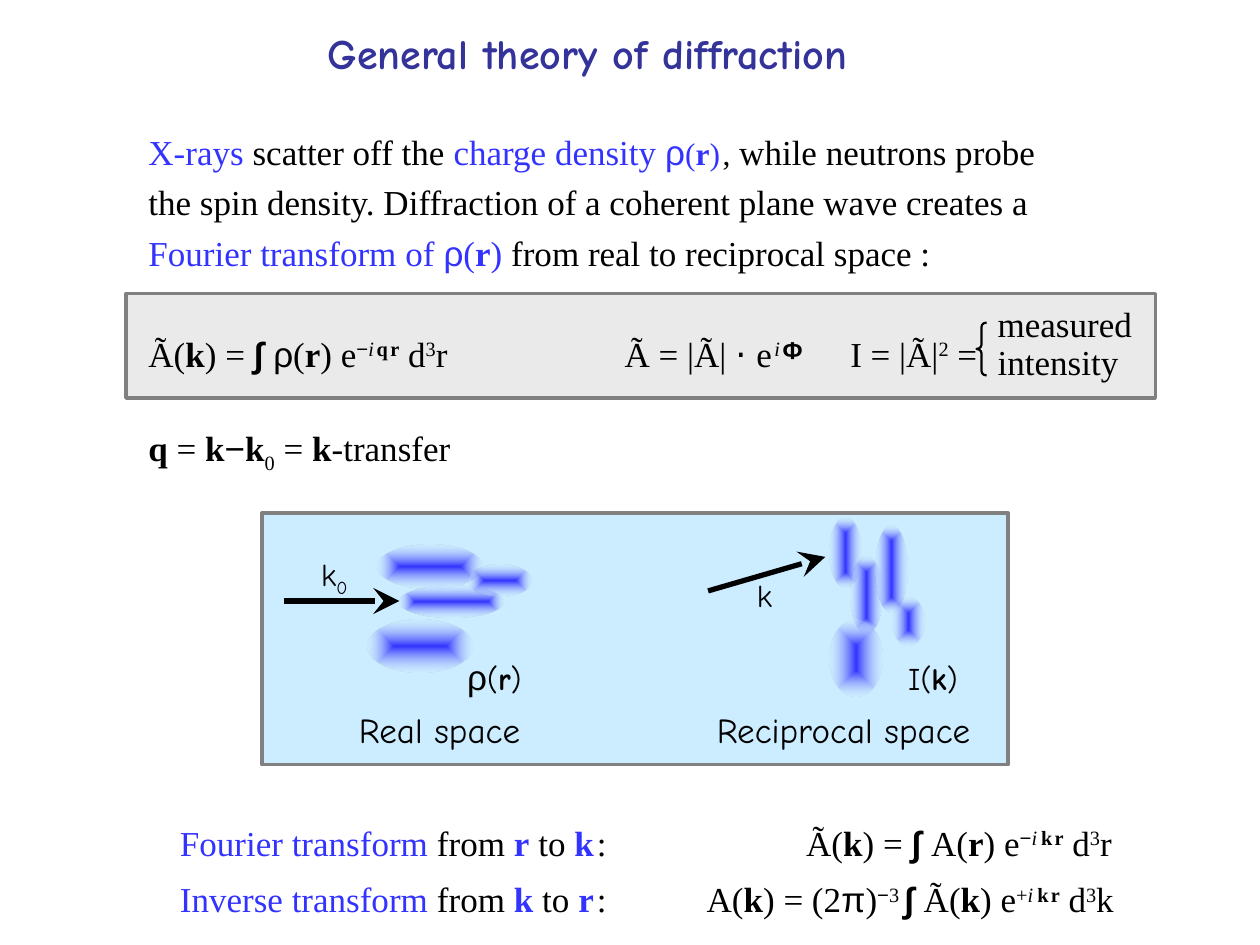
from dataclasses import dataclass

from lxml.etree import SubElement
from pptx import Presentation
from pptx.dml.color import RGBColor as Rgb
from pptx.enum.shapes import MSO_CONNECTOR as Connector
from pptx.enum.shapes import MSO_SHAPE as Shape
from pptx.enum.text import MSO_ANCHOR as Anchor
from pptx.enum.text import PP_ALIGN as Align
from pptx.oxml.ns import qn
from pptx.util import Inches, Pt


@dataclass(frozen=True)
class Theme:
    black: str = "000000"
    title: str = "333399"
    accent: str = "3333FF"
    border: str = "808080"
    formula_fill: str = "EAEAEA"
    diagram_fill: str = "CCECFF"
    serif: str = "Times New Roman"
    symbol: str = "Arial"
    casual: str = "Comic Neue"
    heading_size: int = 24
    body_size: int = 20
    label_size: int = 18
    hair_size: int = 10


THEME = Theme()


def span(text, **style):
    return text, style


def bold(text, **style):
    return span(text, bold=True, **style)


def accent(text, **style):
    return span(text, color=THEME.accent, **style)


def symbol(text, **style):
    return span(text, font=THEME.symbol, **style)


def raised(text, **style):
    return span(text, **{"base": 30, **style})


def lowered(text, **style):
    return span(text, base=-25, **style)


def exponential(sign, vector, outer_gap, inner_gap, sign_font):
    return [
        ") e", raised(sign, font=sign_font), raised("i", italic=True),
        raised(" ", size=outer_gap), raised(vector, bold=True),
        raised(" ", size=inner_gap), raised("r", bold=True), " d", raised("3"),
    ]


def write_paragraph(paragraph, pieces, line_spacing=1.0, before=0, tabs=(), **style):
    if tabs:
        stops = SubElement(paragraph._p.get_or_add_pPr(), qn("a:tabLst"))
        for position in tabs:
            SubElement(stops, qn("a:tab"), pos=str(Inches(position)), algn="l")
    paragraph.alignment = Align.LEFT
    paragraph.line_spacing = line_spacing
    paragraph.space_before = Pt(before)
    defaults = dict(font=THEME.serif, size=THEME.body_size, color=THEME.black)
    for piece in pieces:
        text, own = span(piece) if isinstance(piece, str) else piece
        look = {**defaults, **style, **own}
        run = paragraph.add_run()
        run.text = text
        run.font.name = look["font"]
        run.font.size = Pt(look["size"])
        run.font.color.rgb = Rgb.from_string(look["color"])
        run.font.bold = look.get("bold", False)
        run.font.italic = look.get("italic", False)
        if "base" in look:
            run.font._element.set("baseline", str(look["base"] * 1000))


def add_text(shapes, box, pieces, **style):
    frame = shapes.add_textbox(*map(Inches, box)).text_frame
    frame.word_wrap = True
    write_paragraph(frame.paragraphs[0], pieces, **style)
    return frame


def add_panel(shapes, box, fill):
    panel = shapes.add_shape(Shape.RECTANGLE, *map(Inches, box))
    panel.shadow.inherit = False
    panel.fill.solid()
    panel.fill.fore_color.rgb = Rgb.from_string(fill)
    panel.line.color.rgb = Rgb.from_string(THEME.border)
    panel.line.width = Pt(2)


def add_blob(shapes, box, rotation):
    blob = shapes.add_shape(Shape.OVAL, *map(Inches, box))
    blob.rotation = rotation
    blob.shadow.inherit = False
    blob.line.fill.background()
    blob.fill.gradient()
    core, edge = blob.fill.gradient_stops
    core.position, edge.position = 0, 1
    core.color.rgb = Rgb.from_string(THEME.accent)
    edge.color.rgb = Rgb.from_string(THEME.diagram_fill)
    gradient = blob._element.spPr.find(qn("a:gradFill"))
    edge_color = gradient.findall(".//" + qn("a:srgbClr"))[-1]
    SubElement(edge_color, qn("a:alpha"), val="19000")
    gradient.remove(gradient.find(qn("a:lin")))
    spread = SubElement(gradient, qn("a:path"), path="rect")
    SubElement(spread, qn("a:fillToRect"), l="50000", t="50000", r="50000", b="50000")


def add_arrow(shapes, start, end):
    arrow = shapes.add_connector(Connector.STRAIGHT, *map(Inches, (*start, *end)))
    arrow.line.color.rgb = Rgb.from_string(THEME.black)
    arrow.line.width = Pt(3)
    SubElement(arrow.line._get_or_add_ln(), qn("a:tailEnd"), type="stealth", w="lg", len="lg")
    SubElement(arrow._element.spPr, qn("a:effectLst"))


def place_title(slide, box):
    title = slide.shapes.title
    title.left, title.top, title.width, title.height = map(Inches, box)
    title.text_frame.vertical_anchor = Anchor.TOP
    write_paragraph(title.text_frame.paragraphs[0], ["General theory of diffraction"],
                    font=THEME.casual, size=THEME.heading_size, color=THEME.title, bold=True)


def place_theory(shapes, box):
    frame = add_text(shapes, box, [
        accent("X-rays"), " scatter off the ", accent("charge density "),
        accent("ρ", font=THEME.symbol), accent("(", size=THEME.label_size),
        accent("r", size=THEME.label_size, bold=True), accent(")", size=THEME.label_size),
        lowered(" ", size=THEME.hair_size), span(",", size=THEME.label_size),
        " while neutrons probe the spin density. Diffraction of a coherent plane wave creates a ",
        accent("Fourier transform of "), accent("ρ", font=THEME.symbol), accent("("),
        accent("r", bold=True), accent(") "), "from real to reciprocal space :",
    ], line_spacing=1.2)
    hair = raised(" ", size=THEME.hair_size)
    amplitude = [
        "Ã(", bold("k"), ") = ", symbol("∫ ", bold=True), symbol("ρ"), "(", bold("r"),
        *exponential("−", "q", THEME.hair_size, THEME.hair_size, THEME.symbol), "r",
        span("\t", size=THEME.heading_size, font=THEME.casual),
        "Ã = |Ã| ", symbol("⋅ "), "e", hair, raised("i", italic=True), hair,
        raised("Φ", base=20, size=THEME.heading_size, font=THEME.symbol, bold=True),
        "\tI = |Ã|", raised("2"), " =",
    ]
    transfer = [bold("q "), "= ", bold("k"), symbol("−"), bold("k"), lowered("0"),
                " = ", bold("k"), "-transfer"]
    write_paragraph(frame.add_paragraph(), amplitude, line_spacing=1.6, before=12.5,
                    tabs=(3.78, 5.57))
    write_paragraph(frame.add_paragraph(), transfer, line_spacing=1.6, before=12.5)


def place_intensity_note(shapes, box):
    left, top, width, height = box
    frame = add_text(shapes, (left + 0.07, top, width - 0.07, height), ["measured"],
                     line_spacing=0.4)
    write_paragraph(frame.add_paragraph(), ["intensity"], line_spacing=0.4, before=12.5)
    brace = shapes.add_shape(Shape.LEFT_BRACE, *map(Inches, (left, top + 0.04, 0.08, 0.42)))
    brace.adjustments[0] = 0.42
    brace.shadow.inherit = False
    brace.fill.background()
    brace.line.color.rgb = Rgb.from_string(THEME.black)
    brace.line.width = Pt(1.25)


def place_diagram(shapes, box):
    left, top, _, _ = box
    add_panel(shapes, box, THEME.diagram_fill)
    real_blobs = [(0.92, 0.25, 0.83, 0.35), (1.09, 0.58, 0.83, 0.25),
                  (1.64, 0.41, 0.5, 0.25), (0.84, 0.85, 0.83, 0.42)]
    reciprocal_blobs = [(4.35, 0.19, 0.56, 0.25), (4.49, 0.53, 0.61, 0.25),
                        (4.94, 0.74, 0.38, 0.25), (4.41, 0.94, 0.61, 0.42),
                        (4.65, 0.32, 0.69, 0.25)]
    for blobs, rotation in ((real_blobs, 0), (reciprocal_blobs, 90)):
        for x, y, width, height in blobs:
            add_blob(shapes, (left + x, top + y, width, height), rotation)
    for x1, y1, x2, y2 in ((0.17, 0.7, 1.09, 0.7), (3.54, 0.62, 4.47, 0.35)):
        add_arrow(shapes, (left + x1, top + y1), (left + x2, top + y2))
    density = [symbol("ρ", size=THEME.body_size), "(", bold("r"), ")\tI(", bold("k"), ")"]
    labels = [
        ((1.53, 1.08, 4.83, 0.44), density, THEME.label_size, (3.5,)),
        ((0.67, 1.5, 6.25, 0.44), ["Real space\tReciprocal space"], THEME.body_size, (2.84,)),
        ((0.37, 0.29, 0.67, 0.44), ["k", lowered("0")], THEME.label_size, ()),
        ((3.83, 0.45, 0.67, 0.4), ["k"], THEME.label_size, ()),
    ]
    for (x, y, width, height), pieces, size, tabs in labels:
        add_text(shapes, (left + x, top + y, width, height), pieces,
                 font=THEME.casual, size=size, tabs=tabs)


def place_transforms(shapes, box):
    def heading(name, source, target):
        return [accent(name), " from ", accent(source, bold=True), " to ",
                accent(target, bold=True), lowered(" ", size=12), ":\t"]

    integral = symbol("∫ ", bold=True)
    forward = heading("Fourier transform", "r", "k") + [
        "Ã(", bold("k"), ") = ", integral, "A(", bold("r"),
        *exponential("−", "k", 16, 8, THEME.symbol), "r"]
    inverse = heading("Inverse transform", "k", "r") + [
        "A(", bold("k"), ") = (2", symbol("π"), ")", raised("−", font=THEME.symbol),
        raised("3 "), integral, "Ã(", bold("k"),
        *exponential("+", "k", 16, 8, THEME.serif), "k"]
    frame = add_text(shapes, box, forward, line_spacing=1.2, tabs=(4.97,))
    write_paragraph(frame.add_paragraph(), inverse, line_spacing=0.8, before=12.5, tabs=(4.18,))


def main():
    deck = Presentation()
    deck.slide_width, deck.slide_height = Inches(10), Inches(7.5)
    slide = deck.slides.add_slide(deck.slide_layouts[5])
    shapes = slide.shapes
    place_title(slide, (2.5, 0.17, 5.17, 0.5))
    place_transforms(shapes, (1.33, 6.4, 8.17, 1.03))
    add_panel(shapes, (1, 2.33, 8.17, 0.83), THEME.formula_fill)
    place_theory(shapes, (1.08, 0.92, 7.33, 3.06))
    place_intensity_note(shapes.add_group_shape().shapes, (7.75, 2.52, 1.57, 0.54))
    place_diagram(shapes.add_group_shape().shapes, (2.08, 4.07, 5.92, 2))
    deck.save("out.pptx")


if __name__ == "__main__":
    main()
